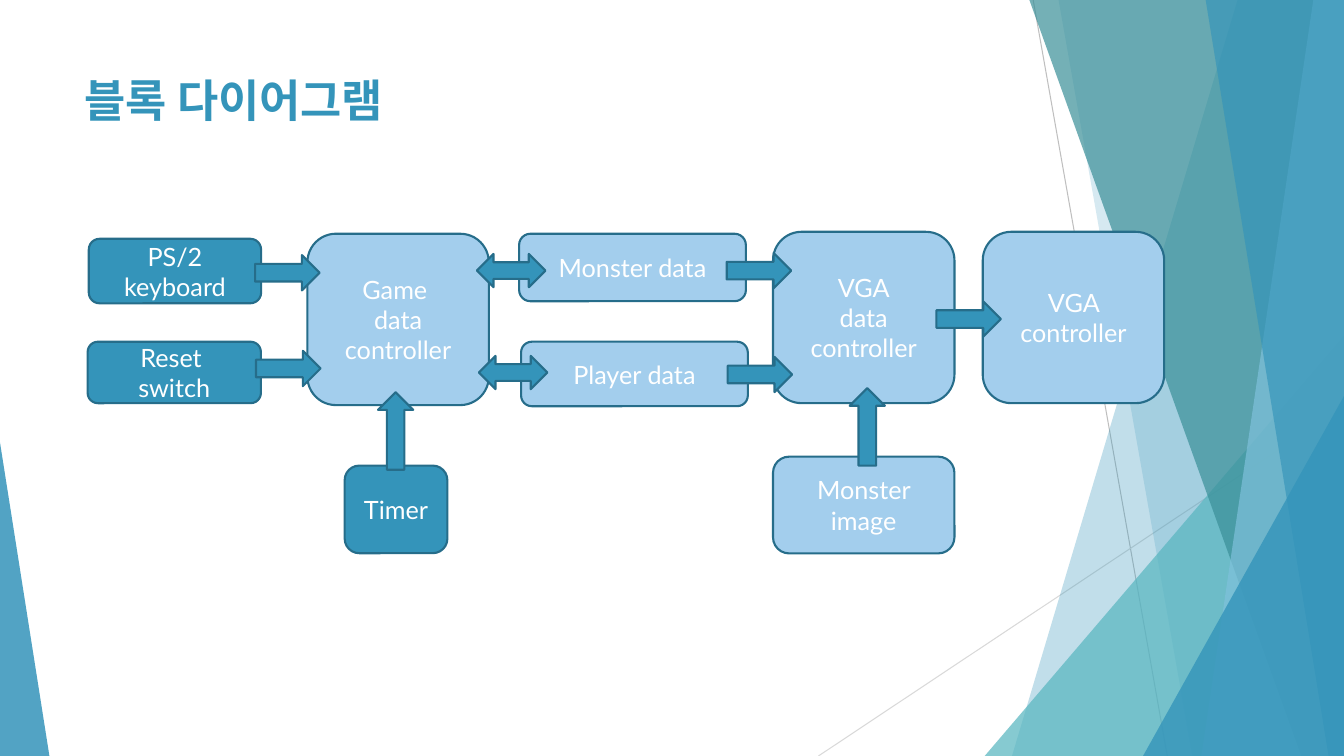
"""Build the block diagram slide of a game with a display controller."""
from dataclasses import dataclass

from lxml.etree import SubElement
from pptx import Presentation
from pptx.dml.color import RGBColor
from pptx.enum.shapes import MSO_CONNECTOR as Link, MSO_SHAPE as Kind
from pptx.enum.text import MSO_ANCHOR as Anchor, PP_ALIGN as Align
from pptx.oxml.ns import qn
from pptx.shapes.autoshape import Shape
from pptx.util import Pt

BLUE = RGBColor(0x34, 0x94, 0xBA)
PALE = RGBColor(0xA3, 0xCE, 0xED)
EDGE = RGBColor(0x26, 0x6D, 0x8A)
AQUA = RGBColor(0x58, 0xB6, 0xC0)
TEAL = RGBColor(0x3A, 0x8F, 0x98)
SKY = RGBColor(0x7F, 0xC1, 0xDB)
WHITE = RGBColor(0xFF, 0xFF, 0xFF)
GRAY = RGBColor(0xBF, 0xBF, 0xBF)
SILVER = RGBColor(0xD9, 0xD9, 0xD9)
FONT = "Lato"
WIDE, HIGH, TOP = 960, 540, -0.6


@dataclass
class Ray:
    x1: float
    y1: float
    x2: float
    y2: float
    color: RGBColor


@dataclass
class Panel:
    top: float
    base: float
    color: RGBColor
    alpha: int


@dataclass
class Wedge:
    left: float
    top: float
    width: float
    apex: int
    color: RGBColor
    alpha: int


@dataclass
class Block:
    text: str
    left: float
    top: float
    width: float
    height: float
    color: RGBColor = PALE


@dataclass
class Arrow:
    left: float
    top: float
    width: float = 46.1
    height: float = 25.2
    kind: Kind = Kind.RIGHT_ARROW
    turn: int = 0


RAYS = [Ray(738, 0, 833.8, HIGH, GRAY), Ray(WIDE, 290.2, 584.6, HIGH, SILVER)]
DECOR = [
    Panel(884.2, 722.9, BLUE, 30),
    Panel(756, 851.8, BLUE, 20),
    Wedge(703.4, 239.8, 256.6, 1, AQUA, 72),
    Panel(735.1, 929.5, TEAL, 70),
    Panel(938.2, 858.2, SKY, 70),
    Panel(861.1, 949, BLUE, 65),
    Wedge(816.5, 283, 143.5, 1, BLUE, 80),
    Wedge(0, 316.1, 35.3, 0, BLUE, 85),
]
BLOCKS = [
    Block("PS/2 keyboard", 63.4, 170.6, 123.1, 46.1, BLUE),
    Block("Reset \nswitch", 62.6, 244.1, 123.8, 43.9, BLUE),
    Block("VGA controller", 702, 165.6, 129.6, 122.4),
    Block("Game \ndata controller", 219.6, 167, 129.6, 122.4),
    Block("Timer", 246.2, 332.6, 73.4, 62.6, BLUE),
    Block("Monster data", 370.8, 167, 162, 48.2),
    Block("Player data", 372.2, 244.1, 162, 46.1),
    Block("VGA\ndata controller", 552.2, 165.6, 129.6, 122.4),
    Block("Monster image", 552.2, 326.2, 129.6, 69.1),
]
ARROWS = [
    Arrow(182.2, 182.2),
    Arrow(340.6, 181.4, 49, 23.8, Kind.LEFT_RIGHT_ARROW),
    Arrow(342, 254.2, 49, 23.8, Kind.LEFT_RIGHT_ARROW),
    Arrow(182.9, 250.6),
    Arrow(519.8, 254.9),
    Arrow(519.1, 180.7),
    Arrow(668.9, 215.3),
    Arrow(254.9, 295.2, 55.4, turn=270),
    Arrow(591.8, 292.3, 55.4, turn=270),
]


def paint(shape: Shape, color: RGBColor, alpha: int = 100) -> None:
    shape.shadow.inherit = False
    shape.fill.solid()
    shape.fill.fore_color.rgb = color
    if alpha < 100:
        tint = shape.fill._xPr.find(qn("a:solidFill"))[0]
        SubElement(tint, qn("a:alpha"), val=str(alpha * 1000))
        shape.line.fill.background()
    else:
        shape.line.color.rgb = EDGE
        shape.line.width = Pt(1.5)


def style(shape: Shape, size: int, color: RGBColor, bold: bool, align: Align) -> None:
    shape.text_frame.word_wrap = True
    for para in shape.text_frame.paragraphs:
        para.alignment = align
        for run in para.runs:
            run.font.name = FONT
            run.font.size = Pt(size)
            run.font.bold = bold
            run.font.color.rgb = color


def draw_ray(shapes, ray: Ray) -> None:
    line = shapes.add_connector(
        Link.STRAIGHT, Pt(ray.x1), Pt(ray.y1), Pt(ray.x2), Pt(ray.y2))
    line.line.color.rgb = ray.color
    line.line.width = Pt(0.75)
    SubElement(line._element.spPr, qn("a:effectLst"))


def draw_panel(shapes, panel: Panel) -> None:
    form = shapes.build_freeform(Pt(panel.top), Pt(TOP))
    rest = [(WIDE, TOP), (WIDE, HIGH), (panel.base, HIGH)]
    form.add_line_segments([(Pt(x), Pt(y)) for x, y in rest])
    paint(form.convert_to_shape(), panel.color, panel.alpha)


def draw_wedge(shapes, wedge: Wedge) -> None:
    shape = shapes.add_shape(
        Kind.ISOSCELES_TRIANGLE, Pt(wedge.left), Pt(wedge.top),
        Pt(wedge.width), Pt(HIGH - wedge.top))
    shape.adjustments[0] = wedge.apex
    paint(shape, wedge.color, wedge.alpha)


def draw_block(shapes, block: Block) -> None:
    shape = shapes.add_shape(
        Kind.ROUNDED_RECTANGLE, Pt(block.left), Pt(block.top),
        Pt(block.width), Pt(block.height))
    paint(shape, block.color)
    shape.text_frame.text = block.text
    shape.text_frame.vertical_anchor = Anchor.MIDDLE
    style(shape, 18, WHITE, False, Align.CENTER)


def draw_arrow(shapes, arrow: Arrow) -> None:
    shape = shapes.add_shape(
        arrow.kind, Pt(arrow.left), Pt(arrow.top), Pt(arrow.width), Pt(arrow.height))
    shape.rotation = arrow.turn
    paint(shape, BLUE)


def main() -> None:
    deck = Presentation()
    deck.slide_width, deck.slide_height = Pt(WIDE), Pt(HIGH)
    shapes = deck.slides.add_slide(deck.slide_layouts[6]).shapes
    for ray in RAYS:
        draw_ray(shapes, ray)
    for item in DECOR:
        if isinstance(item, Panel):
            draw_panel(shapes, item)
        else:
            draw_wedge(shapes, item)
    title = shapes.add_textbox(Pt(53.3), Pt(48.2), Pt(676.8), Pt(103.7))
    title.text_frame.text = "블록 다이어그램"
    style(title, 32, BLUE, True, Align.LEFT)
    for block in BLOCKS:
        draw_block(shapes, block)
    for arrow in ARROWS:
        draw_arrow(shapes, arrow)
    deck.save("out.pptx")


if __name__ == "__main__":
    main()
